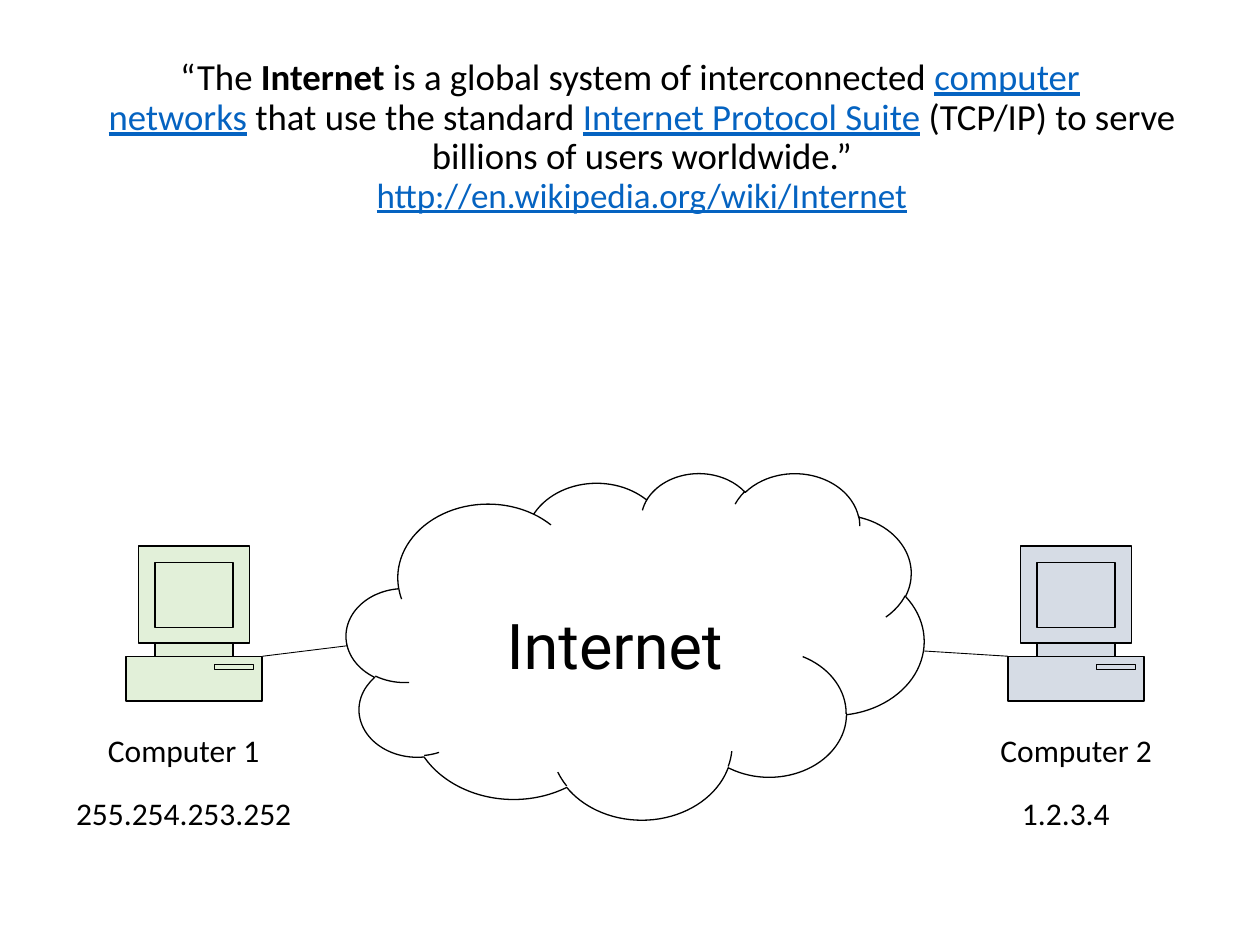
from dataclasses import dataclass

from lxml import etree
from pptx import Presentation
from pptx.dml.color import RGBColor
from pptx.enum.shapes import MSO_CONNECTOR, MSO_SHAPE
from pptx.enum.text import MSO_ANCHOR as ANCHOR, MSO_AUTO_SIZE as AUTO, PP_ALIGN as ALIGN
from pptx.oxml.ns import qn
from pptx.util import Inches, Pt


@dataclass(frozen=True)
class Theme:
    ink: str = "000000"
    link: str = "0563C1"
    cloud: str = "FFFFFF"
    green: str = "E2F0D9"
    grey: str = "D6DCE5"
    font: str = "Calibri"
    cloud_font: str = "Roboto"
    quote: int = 21
    source: int = 20
    label: int = 18
    title: int = 36
    outline: float = 0.75
    wire: float = 0.5


T = Theme()
COLS, ROWS = 120, 90  # grid of twelfths of an inch
HUNDREDTH = Inches(0.01)
NBSP = chr(160)  # no-break space, keeps the linked words with their neighbours

COMPUTER_BODY = [(85, 88), (85, 77), (98, 77), (98, 0), (10, 0), (10, 77),
                 (23, 77), (23, 88), (0, 88), (0, 123), (108, 123), (108, 88)]
NECK, SCREEN, SLOT = (23, 77, 85, 88), (23, 13, 85, 65), (70, 94, 101, 98)


def grid(*cells):
    return [Inches(c / 12) for c in cells]


def place(sp, *box):
    sp.left, sp.top, sp.width, sp.height = grid(*box)


def add_run(p, text, size=T.label, font=T.font, color=T.ink, bold=False, underline=False):
    r = p.add_run()
    r.text = text
    f = r.font
    f.size, f.name, f.bold, f.underline = Pt(size), font, bold, underline
    f.color.rgb = RGBColor.from_string(color)


def style(sp, fill):
    sp.shadow.inherit = False
    sp.fill.solid()
    sp.fill.fore_color.rgb = RGBColor.from_string(fill)
    sp.line.color.rgb = RGBColor.from_string(T.ink)
    sp.line.width = Pt(T.outline)


def add_quote(slide):
    sp = slide.placeholders[1]
    place(sp, 6, 5, 108, 34)
    tf = sp.text_frame
    tf.auto_size = AUTO.NONE
    p = tf.paragraphs[0]
    p.alignment, p.line_spacing, p.space_before = ALIGN.CENTER, 0.9, Pt(0)
    pPr = p._p.get_or_add_pPr()
    pPr.set("marL", str(Inches(0.19)))
    pPr.set("indent", str(-Inches(0.19)))
    etree.SubElement(pPr, qn("a:buNone"))
    link = dict(color=T.link, underline=True)
    for text, look in [
        (f"“The{NBSP}", {}),
        ("Internet", dict(bold=True)),
        (f"{NBSP}is a global system of interconnected{NBSP}", {}),
        ("computer networks", link),
        (f"{NBSP}that use the standard{NBSP}", {}),
        ("Internet Protocol Suite", link),
        (f"{NBSP}(TCP/IP) to serve billions of users worldwide.”", {}),
    ]:
        add_run(p, text, size=T.quote, **look)
    p.add_line_break()
    add_run(p, "http://en.wikipedia.org/wiki/Internet", size=T.source, **link)


def split_paths(sp):
    """Give each contour its own path, so that inner contours are not cut out as holes."""
    path = sp._element.find(".//" + qn("a:path"))
    paths, current = path.getparent(), None
    for step in list(path):
        if step.tag == qn("a:moveTo"):
            current = etree.SubElement(paths, qn("a:path"), dict(path.attrib))
        current.append(step)
    paths.remove(path)


def add_computer(slide, col, row, fill):
    fb = slide.shapes.build_freeform(*COMPUTER_BODY[0], scale=HUNDREDTH)
    fb.add_line_segments(COMPUTER_BODY[1:], close=True)
    for x1, y1, x2, y2 in (NECK, SCREEN, SLOT):
        fb.move_to(x1, y1)
        fb.add_line_segments([(x2, y1), (x2, y2), (x1, y2)], close=True)
    sp = fb.convert_to_shape(*grid(col, row))
    split_paths(sp)
    style(sp, fill)


def add_cloud(slide, text, *box):
    sp = slide.shapes.add_shape(MSO_SHAPE.CLOUD, *grid(*box))
    style(sp, T.cloud)
    tf = sp.text_frame
    tf.vertical_anchor, tf.margin_top = ANCHOR.MIDDLE, Inches(0.15)
    p = tf.paragraphs[0]
    p.alignment = ALIGN.CENTER
    add_run(p, text, size=T.title, font=T.cloud_font)


def add_label(slide, text, col, row):
    tf = slide.shapes.add_textbox(*grid(col, row, 27, 4.8)).text_frame
    tf.word_wrap, tf.auto_size = True, AUTO.SHAPE_TO_FIT_TEXT
    p = tf.paragraphs[0]
    p.alignment = ALIGN.CENTER
    add_run(p, text)


def add_wire(slide, *ends):
    cx = slide.shapes.add_connector(MSO_CONNECTOR.STRAIGHT, *grid(*ends))
    cx.line.color.rgb = RGBColor.from_string(T.ink)
    cx.line.width = Pt(T.wire)
    etree.SubElement(cx._element.spPr, qn("a:effectLst"))


def main():
    prs = Presentation()
    prs.slide_width, prs.slide_height = grid(COLS, ROWS)
    slide = prs.slides.add_slide(prs.slide_layouts[1])
    title = slide.shapes.title._element
    title.getparent().remove(title)

    add_quote(slide)
    add_computer(slide, 12, 52, T.green)
    add_cloud(slide, "Internet", 33, 45, 55, 33)
    add_computer(slide, 96, 52, T.grey)
    for text, col, row in [("Computer 1", 4, 69), ("Computer 2", 89, 69),
                           ("255.254.253.252", 4, 75), ("1.2.3.4", 88, 75)]:
        add_label(slide, text, col, row)
    add_wire(slide, 25, 62.5, 33.1, 61.5)
    add_wire(slide, 88, 62, 96, 62.5)
    prs.save("out.pptx")


if __name__ == "__main__":
    main()
